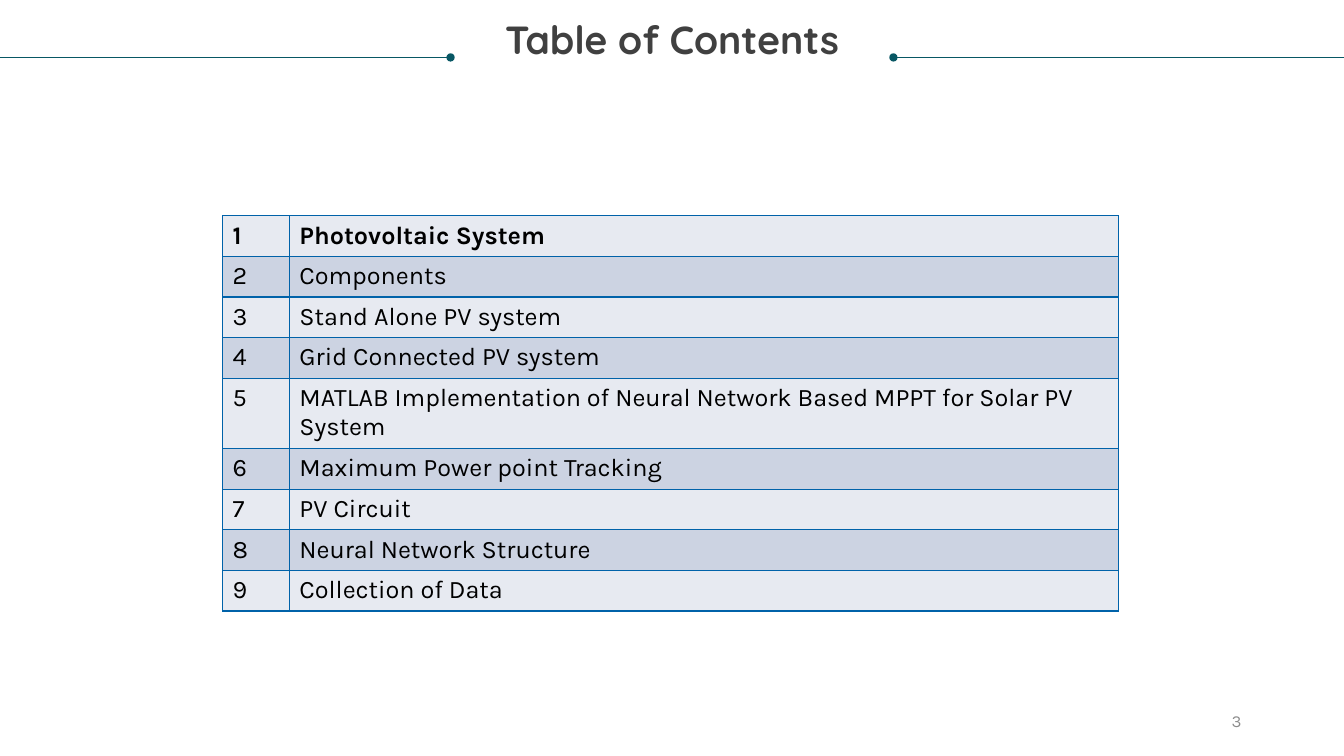
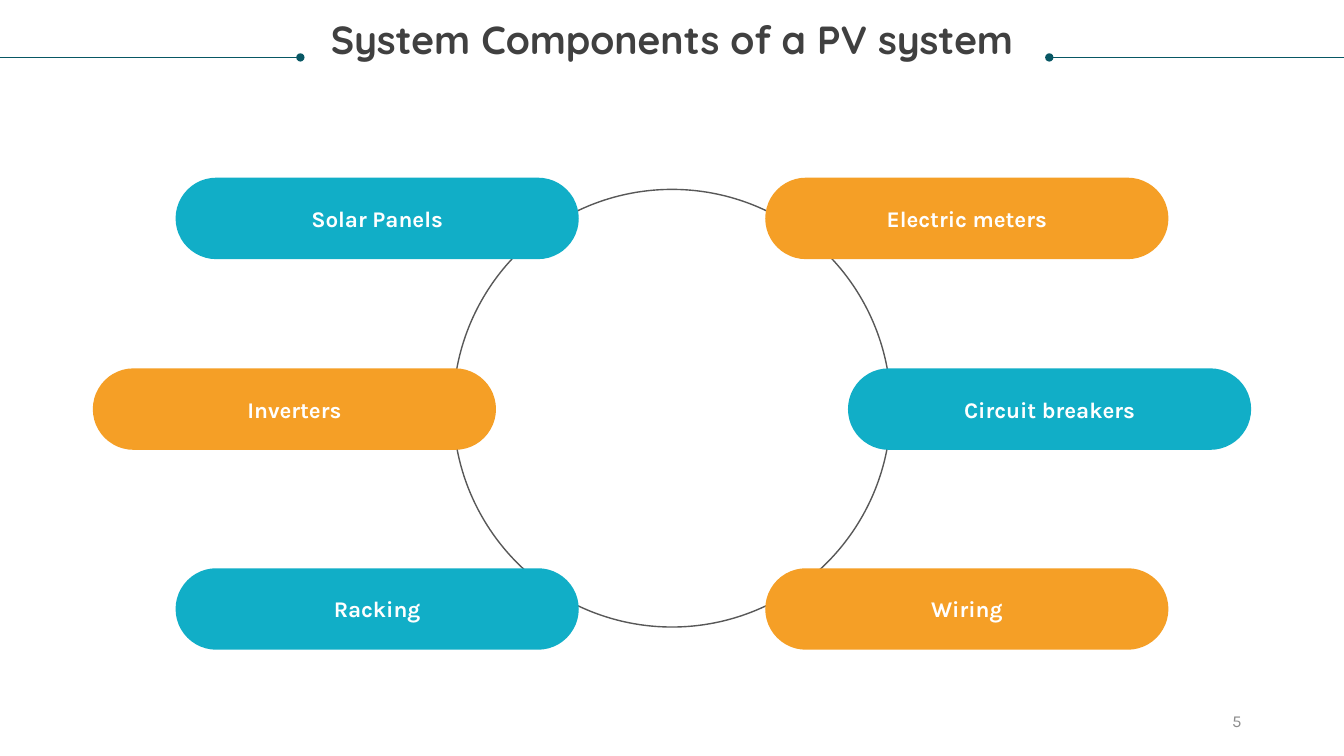
from lxml.etree import SubElement
from pptx import Presentation
from pptx.dml.color import RGBColor
from pptx.enum.shapes import MSO_CONNECTOR as Connector, MSO_SHAPE as Shape
from pptx.enum.text import MSO_ANCHOR as Anchor, MSO_AUTO_SIZE as AutoSize, PP_ALIGN as Align
from pptx.oxml.ns import qn
from pptx.util import Inches, Pt

COLUMNS, ROWS = 160, 90  # square grid, twelve units to the inch
MIDDLE = COLUMNS / 2
TITLE_ONLY = 5

RULE, TITLE, NUMBER = "085764", "404040", "8C8C8C"
BLACK, WHITE = "000000", "FFFFFF"
BORDER, BANDS = "0062A9", ("E7EAF1", "CCD3E2")
RING, TEAL, ORANGE = "585858", "11AEC7", "F59F26"
HEADING_FONT, BODY_FONT = "Quicksand", "Karla"


def color(hex_text):
    return RGBColor.from_string(hex_text)


class Slides:
    """Holds the deck, its style and the current page."""

    def __init__(self):
        self.deck = Presentation()
        self.deck.slide_width, self.deck.slide_height = Inches(13.33), Inches(7.5)
        self.page = None

    def x(self, columns):
        return round(self.deck.slide_width * columns / COLUMNS)

    def y(self, rows):
        return round(self.deck.slide_height * rows / ROWS)

    def area(self, left, top, width, height):
        return self.x(left), self.y(top), self.x(width), self.y(height)

    def set_text(self, frame, text, size, hex_text, font=BODY_FONT, bold=False, align=Align.LEFT):
        frame.word_wrap = True
        frame.text = text
        para = frame.paragraphs[0]
        para.alignment = align
        para.font.name, para.font.size, para.font.bold = font, Pt(size), bold
        para.font.color.rgb = color(hex_text)
        return para

    def add_page(self, title, number, left_dot, right_dot):
        self.page = self.deck.slides.add_slide(self.deck.slide_layouts[TITLE_ONLY])
        self.rule(left_dot, 0)
        self.rule(right_dot, COLUMNS)
        self.title(title)
        self.page_number(number)

    def title(self, text):
        box = self.page.shapes.title
        box.left, box.top, box.width, box.height = self.area(3, 2.5, 154, 5)
        frame = box.text_frame
        frame.auto_size, frame.vertical_anchor = AutoSize.NONE, Anchor.TOP
        frame.margin_left = frame.margin_right = frame.margin_top = frame.margin_bottom = 0
        para = self.set_text(frame, text, 28, TITLE, HEADING_FONT, True, Align.CENTER)
        para.line_spacing = 0.9

    def rule(self, dot, edge):
        """Line from a dot beside the title out to the slide's edge."""
        height = self.y(6.84)
        line = self.page.shapes.add_connector(
            Connector.STRAIGHT, self.x(dot), height, self.x(edge), height)
        line.line.color.rgb, line.line.width = color(RULE), Pt(0.5)
        properties = line.element.spPr
        SubElement(properties.find(qn("a:ln")), qn("a:headEnd"), type="oval")
        SubElement(properties, qn("a:effectLst"))

    def page_number(self, number):
        box = self.page.shapes.add_textbox(*self.area(113, 83.4, 36, 4.8))
        box.text_frame.vertical_anchor = Anchor.MIDDLE
        self.set_text(box.text_frame, str(number), 12, NUMBER, align=Align.RIGHT)

    def ring(self, center_y, diameter):
        circle = self.page.shapes.add_shape(Shape.OVAL, *self.area(
            MIDDLE - diameter / 2, center_y - diameter / 2, diameter, diameter))
        circle.shadow.inherit = False
        circle.fill.background()
        circle.line.color.rgb, circle.line.width = color(RING), Pt(1)

    def pill(self, text, center_x, center_y, fill):
        width, height = 48, 9.7
        pill = self.page.shapes.add_shape(Shape.ROUNDED_RECTANGLE, *self.area(
            center_x - width / 2, center_y - height / 2, width, height))
        pill.adjustments[0] = 0.5
        pill.shadow.inherit = False
        pill.fill.solid()
        pill.fill.fore_color.rgb = color(fill)
        pill.line.fill.background()
        pill.text_frame.vertical_anchor = Anchor.MIDDLE
        self.set_text(pill.text_frame, text, 16, WHITE, bold=True, align=Align.CENTER)

    def numbered_table(self, entries, left, top, widths, row_height):
        table = self.page.shapes.add_table(len(entries), len(widths), *self.area(
            left, top, sum(widths), row_height * len(entries))).table
        table.first_row = table.horz_banding = False
        for column, width in zip(table.columns, widths):
            column.width = self.x(width)
        for index, entry in enumerate(entries):
            for cell, text in zip(table.rows[index].cells, (str(index + 1), entry)):
                self.borders(cell)
                cell.fill.solid()
                cell.fill.fore_color.rgb = color(BANDS[index % 2])
                self.set_text(cell.text_frame, text, 18, BLACK, bold=index == 0)

    def borders(self, cell):
        properties = cell._tc.get_or_add_tcPr()
        for side in ("lnL", "lnR", "lnT", "lnB"):
            line = SubElement(properties, qn(f"a:{side}"), w=str(int(Pt(1))))
            fill = SubElement(line, qn("a:solidFill"))
            SubElement(fill, qn("a:srgbClr"), val=BORDER)


def main():
    slides = Slides()

    # Table of contents
    slides.add_page("Table of Contents", 3, 53.64, 106.36)
    slides.numbered_table([
        "Photovoltaic System",
        "Components",
        "Stand Alone PV system",
        "Grid Connected PV system",
        "MATLAB Implementation of Neural Network Based MPPT for Solar PV System",
        "Maximum Power point Tracking",
        "PV Circuit",
        "Neural Network Structure",
        "Collection of Data",
    ], left=26.5, top=25.7, widths=(7.95, 98.75), row_height=4.83)

    # Components around a ring, in mirrored pairs
    slides.add_page("System Components of a PV system", 5, 35.76, 124.92)
    slides.ring(center_y=48.6, diameter=52.1)
    pairs = [
        ("Solar Panels", "Electric meters", 35.1, 26, (TEAL, ORANGE)),
        ("Inverters", "Circuit breakers", 44.95, 48.7, (ORANGE, TEAL)),
        ("Racking", "Wiring", 35.1, 72.5, (TEAL, ORANGE)),
    ]
    for left_text, right_text, offset, center_y, fills in pairs:
        slides.pill(left_text, MIDDLE - offset, center_y, fills[0])
        slides.pill(right_text, MIDDLE + offset, center_y, fills[1])

    slides.deck.save("out.pptx")


if __name__ == "__main__":
    main()
